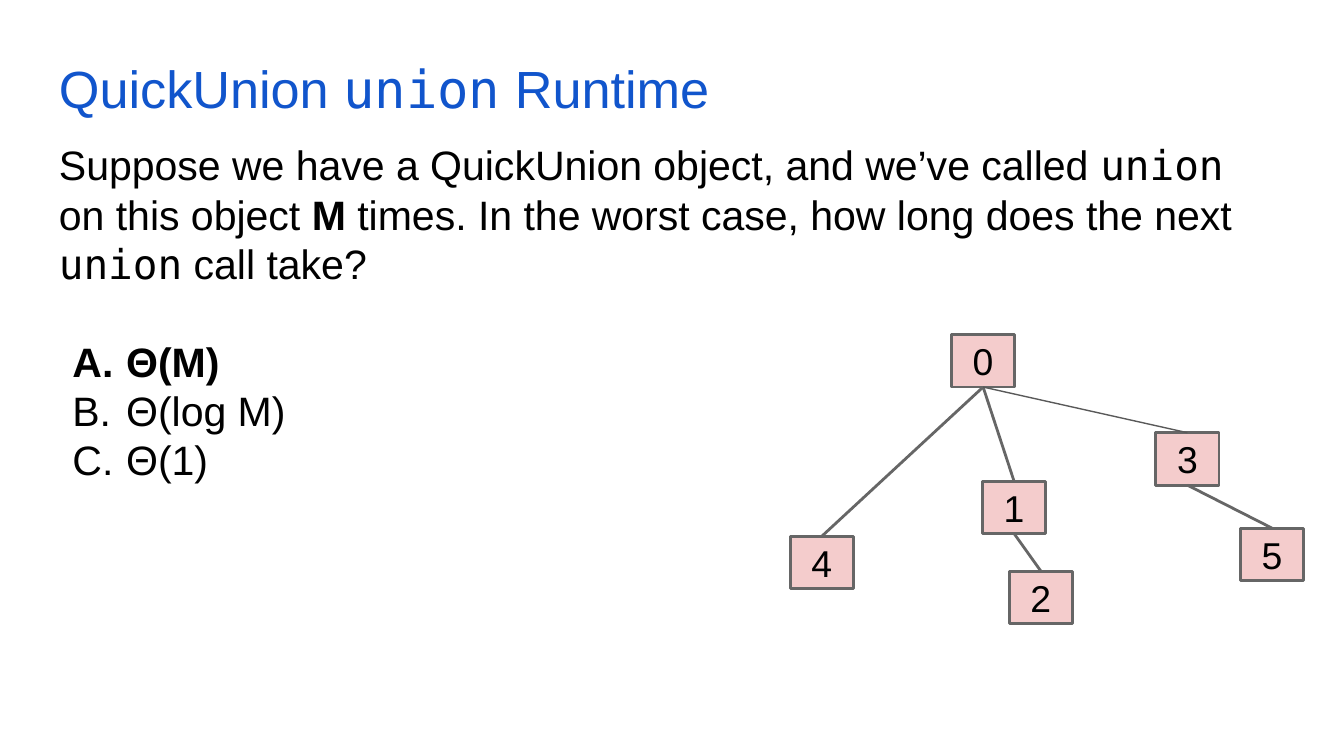
import pptx
import pptx.dml.color
import pptx.enum.shapes
import pptx.enum.text
import pptx.oxml.ns
import pptx.util
from lxml import etree

Inches = pptx.util.Inches
Pt = pptx.util.Pt
RGBColor = pptx.dml.color.RGBColor

BLUE = RGBColor(0x11, 0x55, 0xCC)
BLACK = RGBColor(0, 0, 0)
PINK = RGBColor(0xF4, 0xCC, 0xCC)
GRAY = RGBColor(0x66, 0x66, 0x66)
DARK_GRAY = RGBColor(0x59, 0x59, 0x59)

SANS, MONO = "Arial", "DejaVu Sans Mono"
SLIDE_W = 10
NODE_W, NODE_H = 0.47, 0.39

# Tree nodes: label -> left, top
NODES = {
    "2": (7.51, 4.25),
    "1": (7.31, 3.58),
    "4": (5.88, 3.99),
    "0": (7.08, 2.49),
    "5": (9.23, 3.93),
    "3": (8.6, 3.22),
}

# Tree edges: parent, child, colour, width
EDGES = [
    ("0", "4", GRAY, 1.5),
    ("0", "1", GRAY, 1.5),
    ("1", "2", GRAY, 1.5),
    ("3", "5", GRAY, 1.5),
    ("0", "3", DARK_GRAY, 0.75),
]


def add_run(p, text, size, color, **formats):
    r = p.add_run()
    r.text = text
    r.font.color.rgb = color
    values = {"name": SANS, "size": Pt(size), "bold": False, **formats}
    for name, value in values.items():
        setattr(r.font, name, value)


def set_frame(tf, anchor):
    values = {"word_wrap": True, "vertical_anchor": anchor}
    for side in ("left", "top", "right", "bottom"):
        values["margin_" + side] = Inches(0.1)
    for name, value in values.items():
        setattr(tf, name, value)


def add_text_box(s, left, top, width, height):
    sp = s.shapes.add_textbox(Inches(left), Inches(top), Inches(width), Inches(height))
    set_frame(sp.text_frame, pptx.enum.text.MSO_ANCHOR.TOP)
    return sp.text_frame


def add_option(tf, text, bold):
    p = tf.add_paragraph()
    pPr = p._p.get_or_add_pPr()
    pPr.set("marL", str(Inches(0.5)))
    pPr.set("indent", str(Inches(-0.4)))
    number = etree.SubElement(pPr, pptx.oxml.ns.qn("a:buAutoNum"))
    number.set("type", "alphaUcPeriod")
    add_run(p, text, 22, BLACK, bold=bold)
    return p


def add_node(s, label, left, top):
    sp = s.shapes.add_shape(
        pptx.enum.shapes.MSO_SHAPE.RECTANGLE,
        Inches(left), Inches(top), Inches(NODE_W), Inches(NODE_H))
    sp.shadow.inherit = False
    sp.fill.solid()
    sp.fill.fore_color.rgb = PINK
    sp.line.color.rgb = GRAY
    sp.line.width = Pt(1.5)
    set_frame(sp.text_frame, pptx.enum.text.MSO_ANCHOR.MIDDLE)
    p = sp.text_frame.paragraphs[0]
    p.alignment = pptx.enum.text.PP_ALIGN.CENTER
    add_run(p, label, 20, BLACK)
    return sp


def add_edge(s, parent, child, color, width):
    line = s.shapes.add_connector(pptx.enum.shapes.MSO_CONNECTOR.STRAIGHT, 0, 0, 0, 0)
    line.begin_connect(parent, 2)
    line.end_connect(child, 0)
    line.line.color.rgb = color
    line.line.width = Pt(width)
    etree.SubElement(line._element.spPr, pptx.oxml.ns.qn("a:effectLst"))


def main():
    prs = pptx.Presentation()
    prs.slide_width = Inches(SLIDE_W)
    prs.slide_height = Inches(SLIDE_W * 9 / 16)
    s = prs.slides.add_slide(prs.slide_layouts[6])

    # Title
    p = add_text_box(s, 0.34, 0.32, 9.32, 0.63).paragraphs[0]
    for text, font in [("QuickUnion ", SANS), ("union", MONO), (" Runtime", SANS)]:
        add_run(p, text, 28, BLUE, name=font)

    # Question
    tf = add_text_box(s, 0.34, 0.94, 9.12, 4.35)
    for text, formats in [
        ("Suppose we have a QuickUnion object, and we’ve called ", {}),
        ("union", {"name": MONO}),
        (" on this object ", {}),
        ("M", {"bold": True}),
        (" times. In the worst case, how long does the next ", {}),
        ("union", {"name": MONO}),
        (" call take?", {}),
    ]:
        add_run(tf.paragraphs[0], text, 22, BLACK, **formats)

    # Answers, set off from the question by one line
    first = add_option(tf, "Θ(M)", True)
    first.space_before = Pt(26)
    add_option(tf, "Θ(log M)", False)
    add_option(tf, "Θ(1)", False)

    # Tree
    nodes = {label: add_node(s, label, *at) for label, at in NODES.items()}
    for parent, child, color, width in EDGES:
        add_edge(s, nodes[parent], nodes[child], color, width)

    prs.save("out.pptx")


if __name__ == "__main__":
    main()
